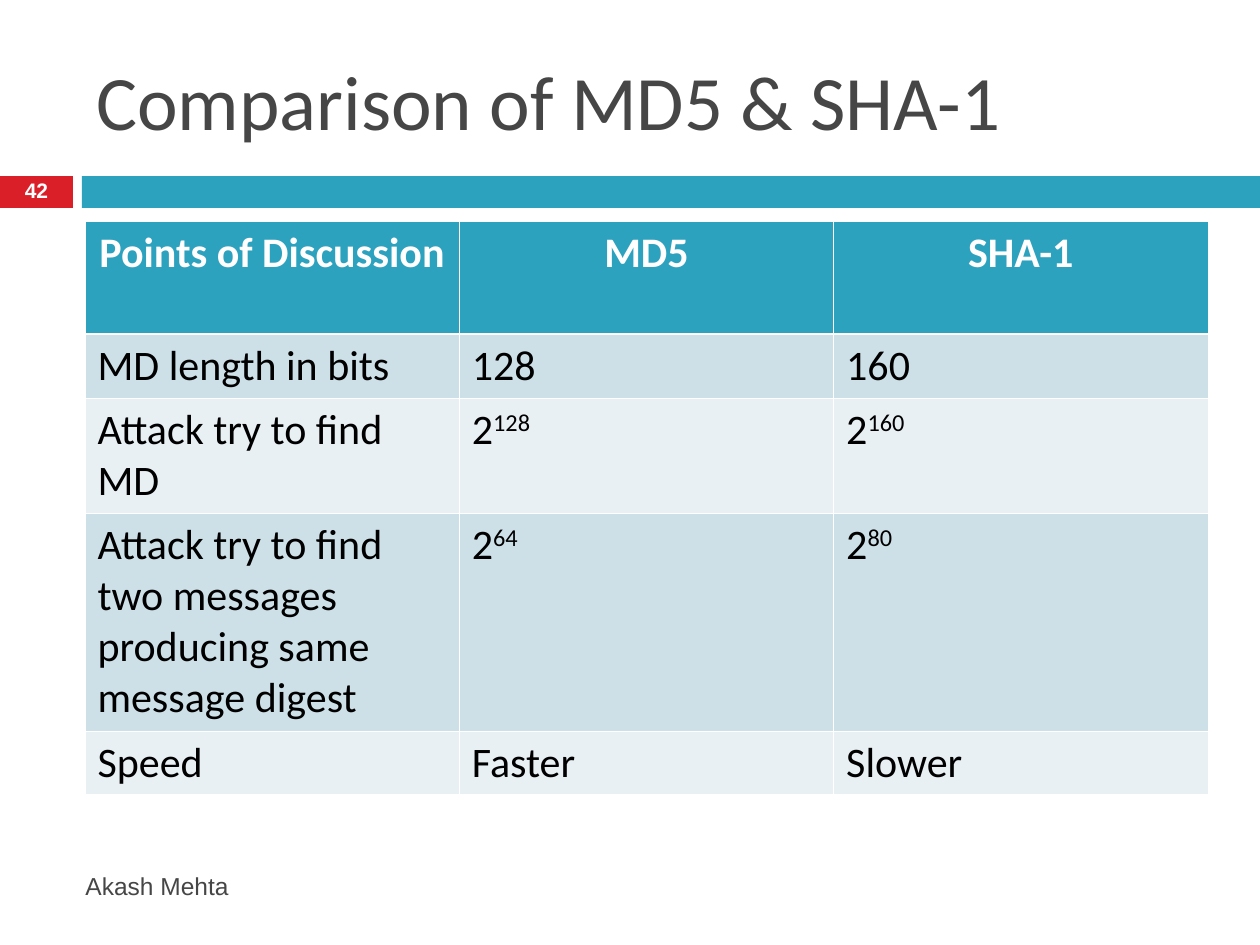
from dataclasses import dataclass

from lxml.etree import SubElement
from pptx import Presentation
from pptx.dml.color import RGBColor
from pptx.enum.shapes import MSO_SHAPE as Shape
from pptx.enum.text import MSO_ANCHOR as Anchor, PP_ALIGN as Align
from pptx.oxml.ns import qn
from pptx.util import Pt

EMU_PER_PX = 914400 / 126


@dataclass(frozen=True)
class Theme:
    accent: str = "2DA2BF"
    number_fill: str = "DA1F28"
    text: str = "464646"
    body: str = "000000"
    white: str = "FFFFFF"
    bands: tuple = ("CDE0E8", "E8F0F4")
    heading_font: str = "Calibri"
    label_font: str = "Arial"
    title_size: int = 44
    table_size: int = 24
    footer_size: int = 14
    number_size: int = 12
    thin_line: float = 0.45
    header_line: float = 1.47


THEME = Theme()

HEADER = ("Points of Discussion", "MD5", "SHA-1")
ROWS = (
    ("MD length in bits", "128", "160"),
    ("Attack try to find MD", "2^128", "2^160"),
    ("Attack try to find two messages producing same message digest", "2^64", "2^80"),
    ("Speed", "Faster", "Slower"),
)
ROW_HEIGHTS = (113, 64, 115, 218, 63)


def px(length):
    return round(length * EMU_PER_PX)


def px_box(box):
    return [px(length) for length in box]


def style_runs(paragraph, font_name, size, color, bold=False):
    for run in paragraph.runs:
        run.font.name = font_name
        run.font.size = Pt(size)
        run.font.bold = bold
        run.font.color.rgb = RGBColor.from_string(color)


def add_text(slide, box, text, font_name, size, color, bold=False):
    text_frame = slide.shapes.add_textbox(*px_box(box)).text_frame
    text_frame.word_wrap = True
    text_frame.vertical_anchor = Anchor.MIDDLE
    text_frame.text = text
    paragraph = text_frame.paragraphs[0]
    style_runs(paragraph, font_name, size, color, bold)
    return paragraph


def add_bar(slide, box, color):
    bar = slide.shapes.add_shape(Shape.RECTANGLE, *px_box(box))
    bar.shadow.inherit = False
    bar.fill.solid()
    bar.fill.fore_color.rgb = RGBColor.from_string(color)
    bar.line.fill.background()


def add_number_band(slide, box, number):
    """Red number block, a gap, then the accent bar across the rest of the box."""
    left, top, width, height = box
    block_width, gap = 73, 9
    offset = block_width + gap
    add_bar(slide, (left, top, block_width, height), THEME.number_fill)
    add_bar(slide, (left + offset, top, width - offset, height), THEME.accent)
    paragraph = add_text(slide, (left, top - 1, block_width, height + 2), number,
                         THEME.label_font, THEME.number_size, THEME.white, bold=True)
    paragraph.alignment = Align.CENTER
    paragraph.line_spacing = 0.8


def set_borders(cell, widths):
    """Draw white borders; widths maps each side (L, R, T, B) to points."""
    properties = cell._tc.get_or_add_tcPr()
    for side, width in widths.items():
        line = SubElement(properties, qn(f"a:ln{side}"), w=str(Pt(width)))
        fill = SubElement(line, qn("a:solidFill"))
        SubElement(fill, qn("a:srgbClr"), val=THEME.white)


def fill_cell(cell, text, row_index):
    is_header = row_index == 0
    thin, thick = THEME.thin_line, THEME.header_line
    set_borders(cell, {"L": thin, "R": thin,
                       "T": thick if row_index == 1 else thin,
                       "B": thick if is_header else thin})
    cell.fill.solid()
    color = THEME.accent if is_header else THEME.bands[(row_index - 1) % 2]
    cell.fill.fore_color.rgb = RGBColor.from_string(color)

    base, _, exponent = text.partition("^")
    paragraph = cell.text_frame.paragraphs[0]
    paragraph.text = base
    paragraph.alignment = Align.CENTER if is_header else Align.LEFT
    if exponent:
        run = paragraph.add_run()
        run.text = exponent
        run._r.get_or_add_rPr().set("baseline", "30000")
    style_runs(paragraph, THEME.heading_font, THEME.table_size,
               THEME.white if is_header else THEME.body, is_header)


def add_comparison_table(slide, box):
    rows = (HEADER, *ROWS)
    table = slide.shapes.add_table(len(rows), len(HEADER), *px_box(box)).table
    table.horz_banding = False
    for column in table.columns:
        column.width = px(box[2] / len(HEADER))
    for row_index, (texts, height) in enumerate(zip(rows, ROW_HEIGHTS)):
        table.rows[row_index].height = px(height)
        for column_index, text in enumerate(texts):
            fill_cell(table.cell(row_index, column_index), text, row_index)


def main():
    presentation = Presentation()
    presentation.slide_width = px(1260)
    presentation.slide_height = px(945)
    slide = presentation.slides.add_slide(presentation.slide_layouts[6])

    add_number_band(slide, (0, 176, 1260, 32), "42")
    add_comparison_table(slide, (85, 221, 1123, sum(ROW_HEIGHTS)))
    add_text(slide, (84, 32, 1124, 136), "Comparison of MD5 & SHA-1",
             THEME.heading_font, THEME.title_size, THEME.text)
    add_text(slide, (73, 861, 747, 50), "Akash Mehta",
             THEME.label_font, THEME.footer_size, THEME.text)
    presentation.save("out.pptx")


if __name__ == "__main__":
    main()
